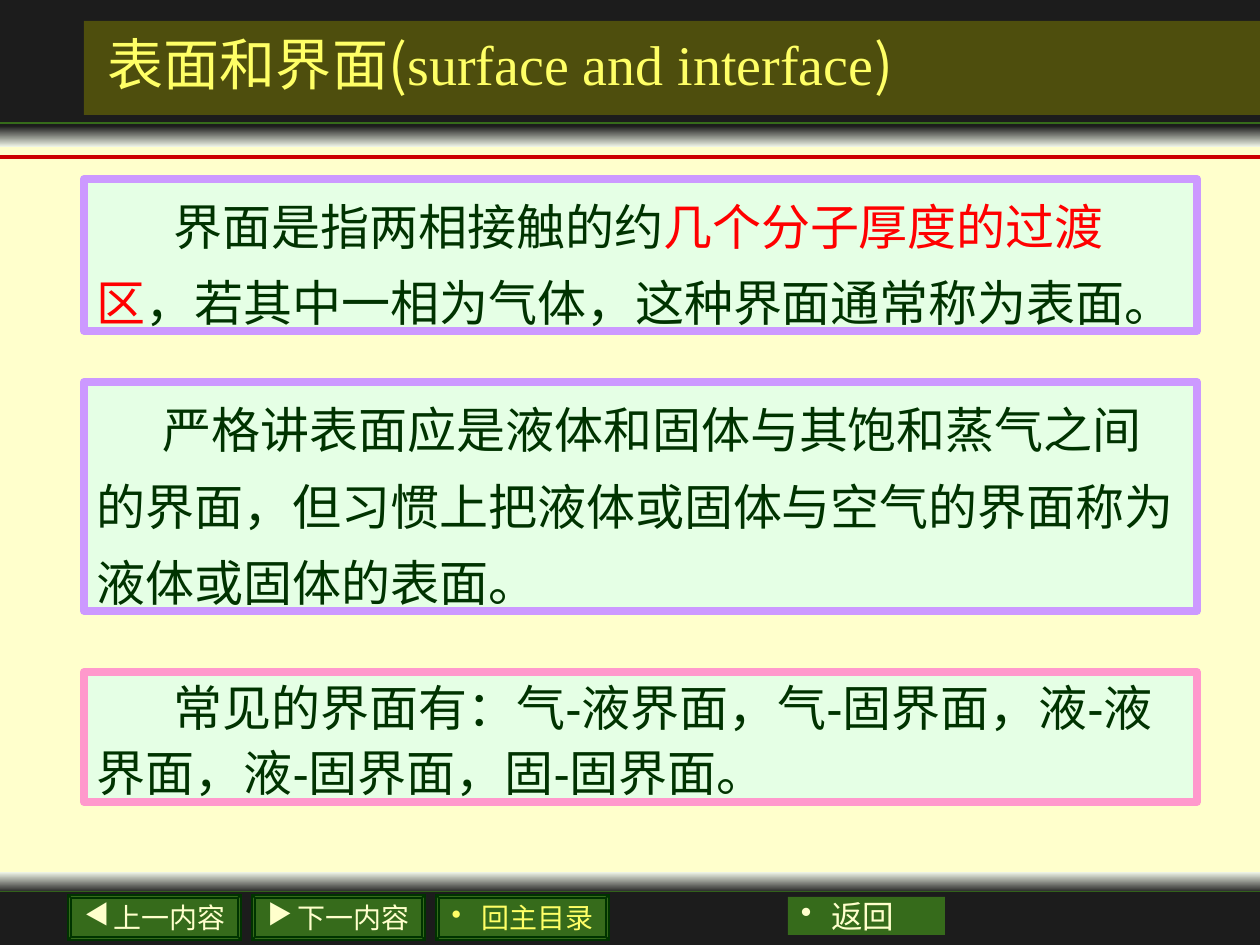
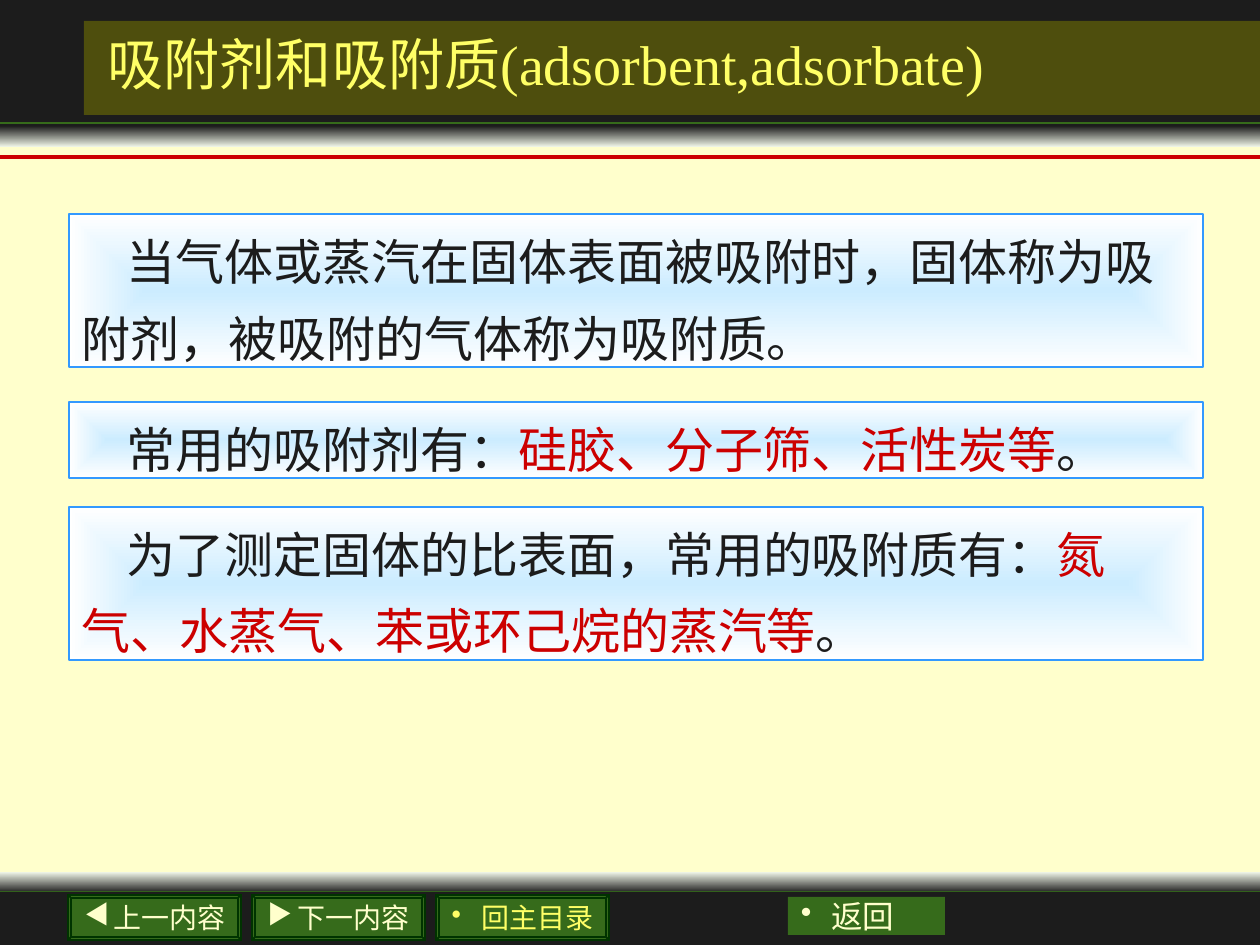
from dataclasses import dataclass
from typing import NamedTuple

from lxml import etree
from pptx import Presentation
from pptx.dml.color import RGBColor
from pptx.enum.shapes import MSO_CONNECTOR, MSO_SHAPE
from pptx.enum.text import MSO_ANCHOR, PP_ALIGN
from pptx.oxml.ns import qn
from pptx.util import Emu, Pt

RECT = MSO_SHAPE.RECTANGLE
STRAIGHT = MSO_CONNECTOR.STRAIGHT
MIDDLE, TOP = MSO_ANCHOR.MIDDLE, MSO_ANCHOR.TOP
CENTER, LEFT = PP_ALIGN.CENTER, PP_ALIGN.LEFT

SCALE = 914400 / 126
WIDE, HIGH = 1260, 945


@dataclass(frozen=True)
class Theme:
    page: str = "FFFFCC"
    dark: str = "1C1C1C"
    pale: str = "F1F7E9"
    olive: str = "808000"
    green: str = "366B1B"
    forest: str = "003300"
    yellow: str = "FFFF66"
    red: str = "CC0000"
    bright: str = "FF0000"
    mint: str = "CCFFFF"
    violet: str = "CC99FF"
    pink: str = "FF99CC"
    sky: str = "CCECFF"
    blue: str = "3399FF"
    white: str = "FFFFFF"
    sans: str = "Arial"
    serif: str = "Times New Roman"
    han: str = "Noto Sans CJK SC"
    title: int = 32
    body: int = 28
    back: int = 18
    button: int = 16


T = Theme()


class Box(NamedTuple):
    x: int
    y: int
    w: int
    h: int


class Span(NamedTuple):
    text: str
    color: str
    face: str


class Rule(NamedTuple):
    y: int
    color: str
    width: float


class Fade(NamedTuple):
    first: str
    last: str
    radial: bool = False


class Fill(NamedTuple):
    color: str
    alpha: int = 100


class Button(NamedTuple):
    text: str
    bullet: str
    color: str


class Panel(NamedTuple):
    y: int
    h: int
    spans: list[Span]
    edge: str
    indent: int
    spacing: float = 1.3


class Style(NamedTuple):
    x: int
    w: int
    fill: Fill | Fade
    line: float


class Page(NamedTuple):
    title: list[Span]
    style: Style
    panels: list[Panel]


def px(size: float) -> Emu:
    return Emu(round(size * SCALE))


def rgb(color: str) -> RGBColor:
    return RGBColor.from_string(color)


def paint(shape, fill: Fill | Fade) -> None:
    """Give a shape a solid, translucent or graded fill."""
    if isinstance(fill, Fill):
        shape.fill.solid()
        shape.fill.fore_color.rgb = rgb(fill.color)
        if fill.alpha < 100:
            tint = next(shape._element.spPr.iter(qn("a:srgbClr")))
            etree.SubElement(tint, qn("a:alpha"), val=str(fill.alpha * 1000))
        return
    shape.fill.gradient()
    shape.fill.gradient_angle = 270
    for stop, place, color in zip(shape.fill.gradient_stops, (0, 1), fill[:2]):
        stop.position = place
        stop.color.rgb = rgb(color)
    if fill.radial:
        grad = shape._element.spPr.find(qn("a:gradFill"))
        route = etree.Element(qn("a:path"), {"path": "rect"})
        etree.SubElement(route, qn("a:fillToRect"), dict.fromkeys("ltrb", "50000"))
        grad.replace(grad.find(qn("a:lin")), route)


def edge(shape, color: str | None, width: float) -> None:
    shape.shadow.inherit = False
    if color:
        shape.line.color.rgb = rgb(color)
        shape.line.width = Pt(width)
    else:
        shape.line.fill.background()


def block(slide, box: Box, fill: Fill | Fade, color: str | None = None, width: float = 0):
    """Draw a filled rectangle."""
    shape = slide.shapes.add_shape(RECT, *map(px, box))
    paint(shape, fill)
    edge(shape, color, width)
    return shape


def rule(slide, item: Rule) -> None:
    line = slide.shapes.add_connector(STRAIGHT, 0, px(item.y), px(WIDE), px(item.y))
    line.line.color.rgb = rgb(item.color)
    line.line.width = Pt(item.width)
    etree.SubElement(line._element.spPr, qn("a:effectLst"))


def write(shape, spans: list[Span], size: int, *, align=LEFT, anchor=TOP, wrap: bool = True,
          pad: int = 0, indent: int = 0, spacing: float = 1.0, bullet: str = "") -> None:
    """Fill a shape with one paragraph of coloured spans."""
    frame = shape.text_frame
    frame.word_wrap = wrap
    frame.vertical_anchor = anchor
    frame.margin_left = frame.margin_right = px(13)
    frame.margin_top = frame.margin_bottom = px(pad)
    para = frame.paragraphs[0]
    para.alignment = align
    para.line_spacing = spacing
    props = para._p.get_or_add_pPr()
    props.set("hangingPunct", "0")
    if bullet:
        props.set("marL", str(px(30)))
        props.set("indent", str(px(-30)))
        hue = etree.SubElement(props, qn("a:buClr"))
        etree.SubElement(hue, qn("a:srgbClr"), val=spans[0].color)
        etree.SubElement(props, qn("a:buChar"), char=bullet)
    else:
        props.set("indent", str(px(indent)))
    for span in spans:
        run = para.add_run()
        run.text = span.text
        run.font.size = Pt(size)
        run.font.color.rgb = rgb(span.color)
        run.font.name = span.face
        mark = run._r.get_or_add_rPr()
        mark.set("lang", "zh-CN")
        mark.find(qn("a:latin")).addnext(etree.Element(qn("a:ea"), typeface=T.han))


def bevel(slide, box: Box, rim: int):
    """Draw a raised button: a face and four slanted sides, each its own path."""
    x, y, w, h = box
    outer = [(x, y), (x + w, y), (x + w, y + h), (x, y + h)]
    inner = [(x + rim, y + rim), (x + w - rim, y + rim),
             (x + w - rim, y + h - rim), (x + rim, y + h - rim)]
    sides = [outer]
    for i in range(4):
        j = (i + 1) % 4
        sides.append([outer[i], outer[j], inner[j], inner[i]])
    pen = slide.shapes.build_freeform(*outer[0], scale=SCALE)
    for i, side in enumerate(sides):
        if i:
            pen.move_to(*side[0])
        pen.add_line_segments(side[1:], close=True)
    shape = pen.convert_to_shape()
    whole = next(shape._element.iter(qn("a:path")))
    steps = list(whole)
    count = len(steps) // len(sides)
    for start in range(count, len(steps), count):
        part = etree.SubElement(whole.getparent(), qn("a:path"), dict(whole.attrib))
        part.extend(steps[start:start + count])
    paint(shape, Fill(T.green))
    edge(shape, T.forest, 1)
    return shape


BUTTONS = [
    Button("上一内容", "◀", T.page),
    Button("下一内容", "▶", T.page),
    Button("回主目录", "•", T.yellow),
]


def base(slide) -> None:
    """Draw the bands, rules and buttons that every slide has."""
    slide.background.fill.solid()
    slide.background.fill.fore_color.rgb = rgb(T.page)
    block(slide, Box(0, 872, WIDE, 21), Fade(T.pale, T.dark))
    rule(slide, Rule(892, T.green, 1.5))
    block(slide, Box(0, 892, WIDE, HIGH - 892), Fill(T.dark))
    block(slide, Box(0, 126, WIDE, 21), Fade(T.dark, T.pale))
    rule(slide, Rule(157, T.red, 2.25))
    block(slide, Box(0, 0, WIDE, 126), Fill(T.dark))
    block(slide, Box(84, 21, WIDE - 84, 94), Fill(T.olive, 50))
    rule(slide, Rule(123, T.green, 1.5))
    for i, item in enumerate(BUTTONS):
        shape = bevel(slide, Box(68 + 184 * i, 895, 173, 45), 3)
        write(shape, [Span(item.text, item.color, T.serif)], T.button, align=CENTER,
              anchor=MIDDLE, wrap=False, bullet=item.bullet)
    back = block(slide, Box(788, 897, 157, 38), Fill(T.green))
    write(back, [Span("返回", T.page, T.sans)], T.back, bullet="•")


def draw(slide, page: Page) -> None:
    base(slide)
    head = slide.shapes.add_textbox(*map(px, Box(95, 21, 1071, 84)))
    write(head, page.title, T.title, anchor=MIDDLE, pad=6)
    style = page.style
    for item in page.panels:
        shape = block(slide, Box(style.x, item.y, style.w, item.h), style.fill,
                      item.edge, style.line)
        write(shape, item.spans, T.body, indent=item.indent, spacing=item.spacing)


def moss(text: str) -> Span:
    return Span(text, T.forest, T.sans)


def ink(text: str) -> Span:
    return Span(text, T.dark, T.han)


def key(text: str) -> Span:
    return Span(text, T.red, T.han)


PAGES = [
    Page(
        [Span("表面和界面(", T.yellow, T.han),
         Span("surface and interface", T.yellow, T.serif),
         Span(")", T.yellow, T.han)],
        Style(84, 1113, Fill(T.mint, 50), 4.5),
        [Panel(179, 152, [moss("界面是指两相接触的约"),
                          Span("几个分子厚度的过渡区", T.bright, T.sans),
                          moss("，若其中一相为气体，这种界面通常称为表面。")], T.violet, 77),
         Panel(382, 229, [moss("严格讲表面应是液体和固体与其饱和蒸气之间的界面，"
                               "但习惯上把液体或固体与空气的界面称为液体或固体的表面。")],
               T.violet, 66),
         Panel(672, 130, [moss("常见的界面有：气-液界面，气-固界面，液-液界面，"
                               "液-固界面，固-固界面。")], T.pink, 77, 1.1)],
    ),
    Page(
        [Span("吸附剂和吸附质", T.yellow, T.han),
         Span("(adsorbent,adsorbate)", T.yellow, T.serif)],
        Style(69, 1134, Fade(T.sky, T.white, True), 1),
        [Panel(214, 153, [ink("当气体或蒸汽在固体表面被吸附时，固体称为吸附剂，"
                              "被吸附的气体称为吸附质。")], T.blue, 45),
         Panel(402, 76, [ink("常用的吸附剂有："), key("硅胶、分子筛、活性炭等"),
                         ink("。")], T.blue, 45),
         Panel(507, 153, [ink("为了测定固体的比表面，常用的吸附质有："),
                          key("氮气、水蒸气、苯或环己烷的蒸汽等"), ink("。")], T.blue, 45)],
    ),
]


def main() -> None:
    deck = Presentation()
    deck.slide_width, deck.slide_height = px(WIDE), px(HIGH)
    for page in PAGES:
        draw(deck.slides.add_slide(deck.slide_layouts[6]), page)
    deck.save("out.pptx")


if __name__ == "__main__":
    main()
